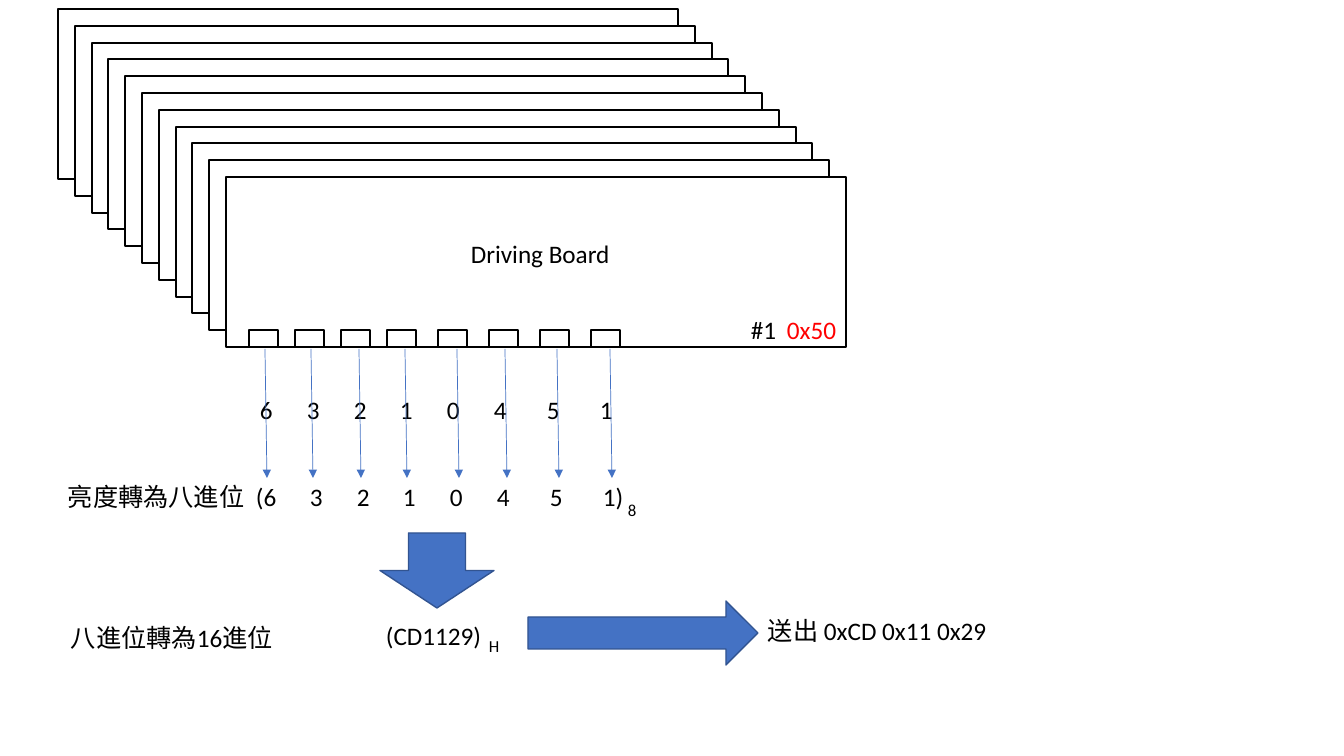
from lxml import etree
from pptx import Presentation
from pptx.dml.color import RGBColor
from pptx.enum.shapes import MSO_CONNECTOR as CONNECTOR, MSO_SHAPE as SHAPE
from pptx.enum.text import MSO_AUTO_SIZE as AUTO_SIZE
from pptx.oxml.ns import qn
from pptx.util import Pt

EMU_PER_PIXEL = 914400 / 100.8
FONT = "Calibri"
COLORS = {"black": "000000", "white": "FFFFFF", "red": "FF0000",
          "blue": "4472C4", "outline": "325491"}

BOARD_COUNT = 11
BOARD_STEP = 16.8
SLOT_LEFTS = [249, 295, 341, 387, 438, 489, 540, 591]
WIRE_LEFTS = [265, 311, 359, 405, 457, 505, 557, 610]
DIGITS = "63210451"
DIGIT_TABS = [47, 94, 140, 187, 234, 287, 340]
BRACKET_WIDTH = 7


def px(pixels):
    """Turn pixels into EMU."""
    return round(pixels * EMU_PER_PIXEL)


def color(name):
    """Look up a colour by name."""
    return RGBColor.from_string(COLORS[name])


def add_block(slide, kind, left, top, width, height, fill="white", line="black"):
    """Add a filled preset shape with a 1 pt outline."""
    shape = slide.shapes.add_shape(kind, px(left), px(top), px(width), px(height))
    shape.shadow.inherit = False
    shape.fill.solid()
    shape.fill.fore_color.rgb = color(fill)
    shape.line.color.rgb = color(line)
    shape.line.width = Pt(1)
    return shape


def add_label(slide, text, left, top, width, height=40, size=18, wrap=False, tabs=()):
    """Add a text box, with tab stops in pixels from its text edge."""
    box = slide.shapes.add_textbox(px(left), px(top), px(width), px(height))
    frame = box.text_frame
    frame.text = text
    frame.word_wrap = wrap
    frame.auto_size = AUTO_SIZE.SHAPE_TO_FIT_TEXT
    paragraph = frame.paragraphs[0]
    format_run(paragraph.runs[0], size)
    if tabs:
        properties = paragraph._p.get_or_add_pPr()
        tab_list = etree.SubElement(properties, qn("a:tabLst"))
        for stop in tabs:
            etree.SubElement(tab_list, qn("a:tab"), pos=str(px(stop)), algn="l")
    return paragraph


def format_run(run, size=18, color_name="black"):
    """Set the font, size and colour of a run."""
    run.font.name = FONT
    run.font.size = Pt(size)
    run.font.color.rgb = color(color_name)


def add_wire(slide, left, top, bottom):
    """Add a thin, slightly slanted arrow pointing down."""
    wire = slide.shapes.add_connector(
        CONNECTOR.STRAIGHT, px(left), px(top), px(left + 2), px(bottom))
    wire.line.color.rgb = color("blue")
    wire.line.width = Pt(0.5)
    etree.SubElement(wire.line._get_or_add_ln(), qn("a:tailEnd"), type="triangle")
    etree.SubElement(wire._element.spPr, qn("a:effectLst"))


def add_boards(slide):
    """Stack the driving boards and label the front one."""
    for index in range(BOARD_COUNT):
        offset = round(index * BOARD_STEP)
        add_block(slide, SHAPE.RECTANGLE, 58 + offset, 9 + offset, 620, 170)
    for left in SLOT_LEFTS:
        add_block(slide, SHAPE.RECTANGLE, left, 330, 29, 17)
    add_label(slide, "Driving Board", 461, 233, 160)
    number = add_label(slide, "#1\t", 741, 309, 112, wrap=True, tabs=[36])
    address = number.add_run()
    address.text = "0x50"
    format_run(address, color_name="red")


def add_brightness(slide):
    """Add the brightness digits and their octal reading."""
    digits = "\t".join(DIGITS)
    add_label(slide, digits, 250, 389, 386, wrap=True, tabs=DIGIT_TABS)
    for left in WIRE_LEFTS:
        add_wire(slide, left, 349, 478)
    octal_tabs = [stop + BRACKET_WIDTH for stop in DIGIT_TABS]
    add_label(slide, f"({digits})", 246, 476, 396, wrap=True, tabs=octal_tabs)
    add_label(slide, "8", 618, 495, 29, 30, size=12)
    add_label(slide, "亮度轉為八進位", 58, 476, 199)


def add_conversion(slide):
    """Add the hexadecimal result and the bytes sent out."""
    add_block(slide, SHAPE.DOWN_ARROW, 380, 533, 114, 75, "blue", "outline")
    add_label(slide, "(CD1129)", 376, 615, 117)
    add_label(slide, "H", 479, 631, 31, 30, size=12)
    add_label(slide, "八進位轉為16進位", 61, 617, 224, wrap=True)
    add_block(slide, SHAPE.RIGHT_ARROW, 528, 601, 230, 64, "blue", "outline")
    add_label(slide, "送出 0xCD 0x11 0x29", 758, 610, 241, wrap=True)


def main():
    """Build the slide and save it."""
    presentation = Presentation()
    presentation.slide_width = px(1344)
    presentation.slide_height = px(756)
    slide = presentation.slides.add_slide(presentation.slide_layouts[6])
    add_boards(slide)
    add_brightness(slide)
    add_conversion(slide)
    presentation.save("out.pptx")


main()
